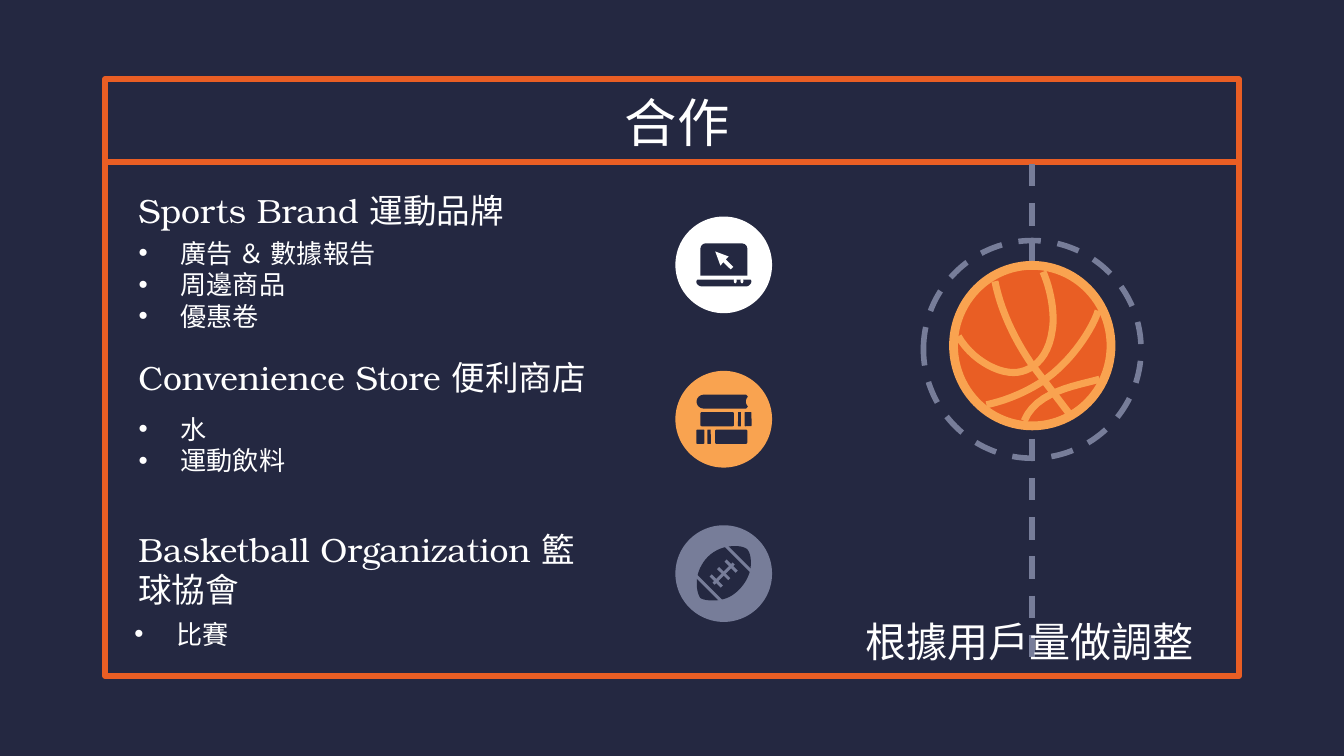
import pptx
import pptx.util
import pptx.dml.color
import pptx.enum.dml
import pptx.enum.shapes
import pptx.enum.text
import pptx.oxml
import pptx.oxml.ns

Pt = pptx.util.Pt
SHAPES = pptx.enum.shapes.MSO_SHAPE
ANCHOR = pptx.enum.text.MSO_ANCHOR
ALIGN = pptx.enum.text.PP_ALIGN
COLORS = {"navy": "242841", "orange": "E95E24", "amber": "F9A350",
          "grey": "777D99", "white": "FFFFFF"}

# Content: heading, heading box, bullet items, list box (left, top, width, height)
TITLE = "合作"
CAPTION = "根據用戶量做調整"
SECTIONS = [
    ("Sports Brand 運動品牌", (67, 95.8, 263.5, 33.8),
     ["廣告 ＆ 數據報告", "周邊商品", "優惠卷"], (67, 129.6, 263.5, 45.4)),
    ("Convenience Store 便利商店", (67, 185, 281.5, 33.8),
     ["水", "運動飲料"], (67, 215.3, 263.5, 45.4)),
    ("Basketball Organization 籃球協會", (67, 288, 263.5, 33.8),
     ["比賽"], (64.8, 316.8, 263.5, 45.4)),
]

# Layout
FRAME = (56.2, 42.4, 607.6, 319.8)
HEADER_LINE = 86.8
ICON_X, ICON_Y, ICON_STEP, ICON_SIZE = 387.7, 141.9, 82.7, 51.8
BALL = (553, 185.2)

# Drawings, as offsets from a centre: a pair is a corner, three pairs a curve
LAPTOP_BASE = [(-14, 7.9), (14.4, 7.9), ((15.6, 9), (14, 11.5), (12, 11.5)),
               (-11.6, 11.5), ((-14, 11.5), (-15.6, 9), (-14, 7.9))]
POINTER = [(-4.5, -7.2), (2.7, -4.5), (1.2, -2.9), (5.2, 1.1),
           (3.8, 2.4), (-0.2, -1.4), (-1.7, 0.4)]
LYING_BOOK = [(-10, -13.2), ((-16, -13.2), (-16, -5.6), (-10, -5.6)), (12, -5.6),
              (13, -6.8), ((11.5, -8.5), (11.5, -10.5), (13, -12)), (12, -13.2)]
BOOK_ROWS = {-3.8: [(-12.5, 5.5), (7.7, 9.3), (11.2, 14.9)],
             5.6: [(-14.6, -10.3), (-8.7, -6.9), (-4.6, 12.7)]}
FOOTBALL = [(2, -14.4), ((7, -15.3), (11, -14.5), (12.7, -13)),
            ((14.4, -11), (15.3, -6), (14, -1)), ((12, 6), (6, 12), (0.5, 13.5)),
            ((-4, 15), (-11, 14.5), (-12.5, 13)), ((-14, 11), (-15, 6), (-14, 1)),
            ((-12, -7), (-6, -13), (2, -14.4))]
LACES = [((1, -15), (15, -1)), ((-15, 1), (-1, 15)), ((-5.4, 5.4), (5.4, -5.4)),
         ((1, -7), (7, -1)), ((-3, -3), (3, 3)), ((-7, 1), (-1, 7))]
SEAMS = [
    [(-20, -34.5), ((-17, -19.5), (-10, -4.3), (-0.7, 9.4)), (19.5, 36)],
    [(5.8, -39.6), ((10, -30), (12.2, -17), (10.8, -8.6)),
     ((8.6, 8), (-1.4, 14.4), (-10, 14.4)), ((-20, 14.4), (-33, 6.5), (-39.6, -5))],
    [(35.3, -18.7), ((33, -10.8), (23, 6.5), (7.2, 18)),
     ((-1.4, 23.8), (-11.5, 28.8), (-24.5, 31.7))],
    [(36, 18), ((23, 21.6), (2.2, 24.5), (-4.3, 40.3))],
]


def rgb(name):
    return pptx.dml.color.RGBColor.from_string(COLORS[name])


def stroke(shape, color, width, dashed=False):
    shape.line.color.rgb = rgb(color)
    shape.line.width = Pt(width)
    if dashed:
        shape.line.dash_style = pptx.enum.dml.MSO_LINE.DASH


def paint(shape, fill=None, line=None, weight=3, dashed=False):
    shape.shadow.inherit = False
    shape.fill.background()
    shape.line.fill.background()
    if fill:
        shape.fill.solid()
        shape.fill.fore_color.rgb = rgb(fill)
    if line:
        stroke(shape, line, weight, dashed)


def add_preset(kind, box, **style):
    shape = page.shapes.add_shape(kind, *map(Pt, box))
    paint(shape, **style)
    return shape


def add_disc(center, width, height, **style):
    corner = shift((-width / 2, -height / 2), center)
    add_preset(SHAPES.OVAL, corner + (width, height), **style)


def add_line(start, end, color, weight, dashed=False):
    line = page.shapes.add_connector(pptx.enum.shapes.MSO_CONNECTOR.STRAIGHT,
                                     *map(Pt, start + end))
    stroke(line, color, weight, dashed)
    line._element.spPr.append(pptx.oxml.parse_xml(
        "<a:effectLst %s/>" % pptx.oxml.ns.nsdecls("a")))


def shift(point, center):
    return (center[0] + point[0], center[1] + point[1])


def add_outline(steps, center, closed=True, **style):
    points = [steps[0]]
    for step in steps[1:]:
        if not isinstance(step[0], tuple):
            points.append(step)
            continue
        corners = (points[-1],) + step
        for t in (n / 12 for n in range(1, 13)):
            weights = ((1 - t) ** 3, 3 * t * (1 - t) ** 2, 3 * t * t * (1 - t), t ** 3)
            points.append(tuple(sum(w * c[axis] for w, c in zip(weights, corners))
                                for axis in (0, 1)))
    points = [tuple(map(Pt, shift(point, center))) for point in points]
    builder = page.shapes.build_freeform(*points[0])
    builder.add_line_segments(points[1:], close=closed)
    paint(builder.convert_to_shape(), **style)


def write(text, box, holder=None, font="TeX Gyre Bonum", size=18, align=ALIGN.LEFT,
          bullet=False, anchor=ANCHOR.MIDDLE, after=0, inset=7.2, left=7.2, wrap=True):
    """Put text, one paragraph per line, in a placeholder or a new text box."""
    holder = holder or page.shapes.add_textbox(*map(Pt, box))
    holder.left, holder.top, holder.width, holder.height = map(Pt, box)
    frame = holder.text_frame
    frame.auto_size = pptx.enum.text.MSO_AUTO_SIZE.NONE
    frame.word_wrap, frame.vertical_anchor = wrap, anchor
    frame.margin_left, frame.margin_right = Pt(left), Pt(7.2)
    frame.margin_top = frame.margin_bottom = Pt(inset)
    frame.text = text
    for para in frame.paragraphs:
        para.alignment, para.line_spacing = align, 1.0
        para.space_before, para.space_after = Pt(0), Pt(after)
        if bullet:
            properties = para._p.get_or_add_pPr()
            properties.set("marL", str(Pt(22.5)))
            properties.set("indent", str(-Pt(22.5)))
            properties.append(pptx.oxml.parse_xml(
                '<a:buChar %s char="•"/>' % pptx.oxml.ns.nsdecls("a")))
        for span in para.runs:
            span.font.name, span.font.size, span.font.bold = font, Pt(size), False
            span.font.color.rgb = rgb("white")


deck = pptx.Presentation()
deck.slide_width, deck.slide_height = Pt(720), Pt(405)
page = deck.slides.add_slide(deck.slide_layouts.get_by_name("Comparison"))
page.background.fill.solid()
page.background.fill.fore_color.rgb = rgb("navy")
title, *bodies = page.placeholders

# Frame and title
add_preset(SHAPES.RECTANGLE, FRAME, line="orange")
add_line((57.6, HEADER_LINE), (662.4, HEADER_LINE), "orange", 3)
write(TITLE, (56.2, 42.5, 607.7, 45.4), title, size=28, align=ALIGN.CENTER, left=12.6)

# Headings and lists
for (heading, heading_box, items, list_box), body in zip(SECTIONS, bodies):
    write(heading, heading_box, after=12)
    write("\n".join(items), list_box, body, font="Roboto", size=14, bullet=True)
for unused in bodies[len(SECTIONS):]:
    unused._element.getparent().remove(unused._element)

# Icon discs
centers = [(ICON_X, ICON_Y + row * ICON_STEP) for row in range(3)]
for center, color in zip(centers, ("white", "amber", "grey")):
    add_disc(center, ICON_SIZE, ICON_SIZE, fill=color)
laptop, books, football = centers

# Laptop
screen = shift((-12.5, -11.5), laptop) + (25.2, 17.3)
add_preset(SHAPES.ROUND_2_SAME_RECTANGLE, screen, fill="navy")
add_outline(POINTER, laptop, fill="white")
add_outline(LAPTOP_BASE, laptop, fill="navy")
for x in (6.2, 9.8):
    add_disc(shift((x, 8.6), laptop), 1.6, 2.6, fill="white")

# Books
add_outline(LYING_BOOK, books, fill="navy")
for top, parts in BOOK_ROWS.items():
    for start, end in parts:
        box = shift((start, top), books) + (end - start, 7.6)
        add_preset(SHAPES.ROUNDED_RECTANGLE, box, fill="navy").adjustments[0] = 0.1

# Football
add_outline(FOOTBALL, football, fill="navy")
for start, end in LACES:
    add_line(shift(start, football), shift(end, football), "grey", 1.6)

# Court lines and basketball
add_line((BALL[0], 87.8), (BALL[0], 360.7), "grey", 3, dashed=True)
add_disc((BALL[0], 187.2), 116.6, 116.6, line="grey", dashed=True)
add_disc(BALL, 84.4, 86, fill="orange", line="amber", weight=4.7)
for seam in SEAMS:
    add_outline(seam, BALL, closed=False, line="amber", weight=3.8)

# Caption
write(CAPTION, (456.5, 326.9, 192.2, 60.5), font="Times New Roman", size=22,
      anchor=ANCHOR.TOP, inset=3.6, wrap=False)
deck.save("out.pptx")
